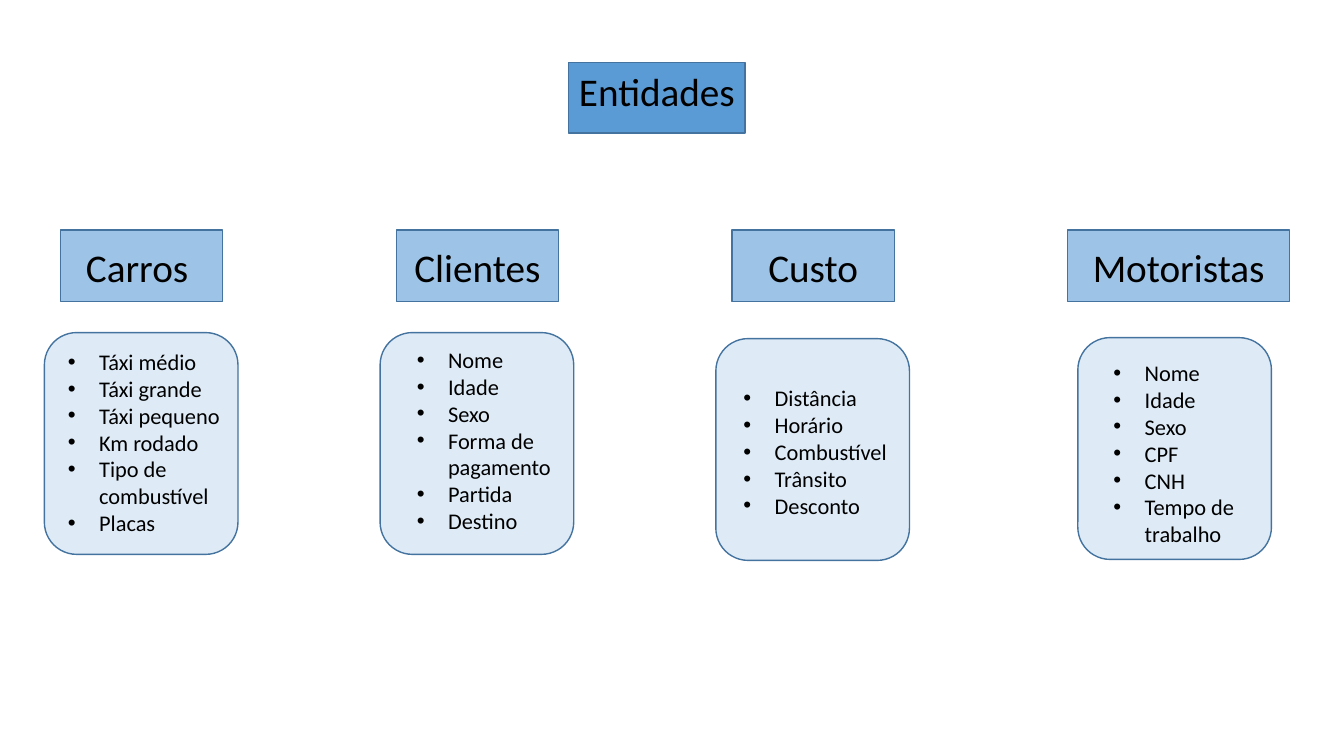
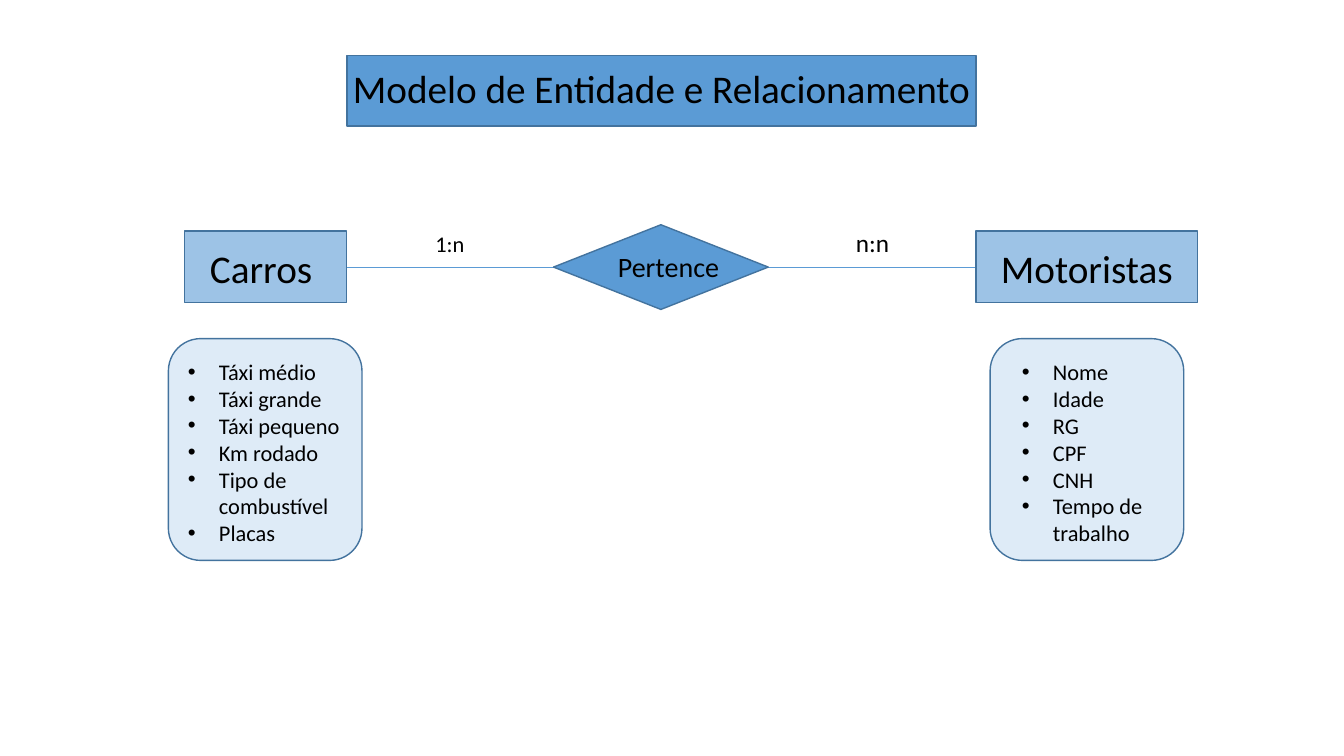
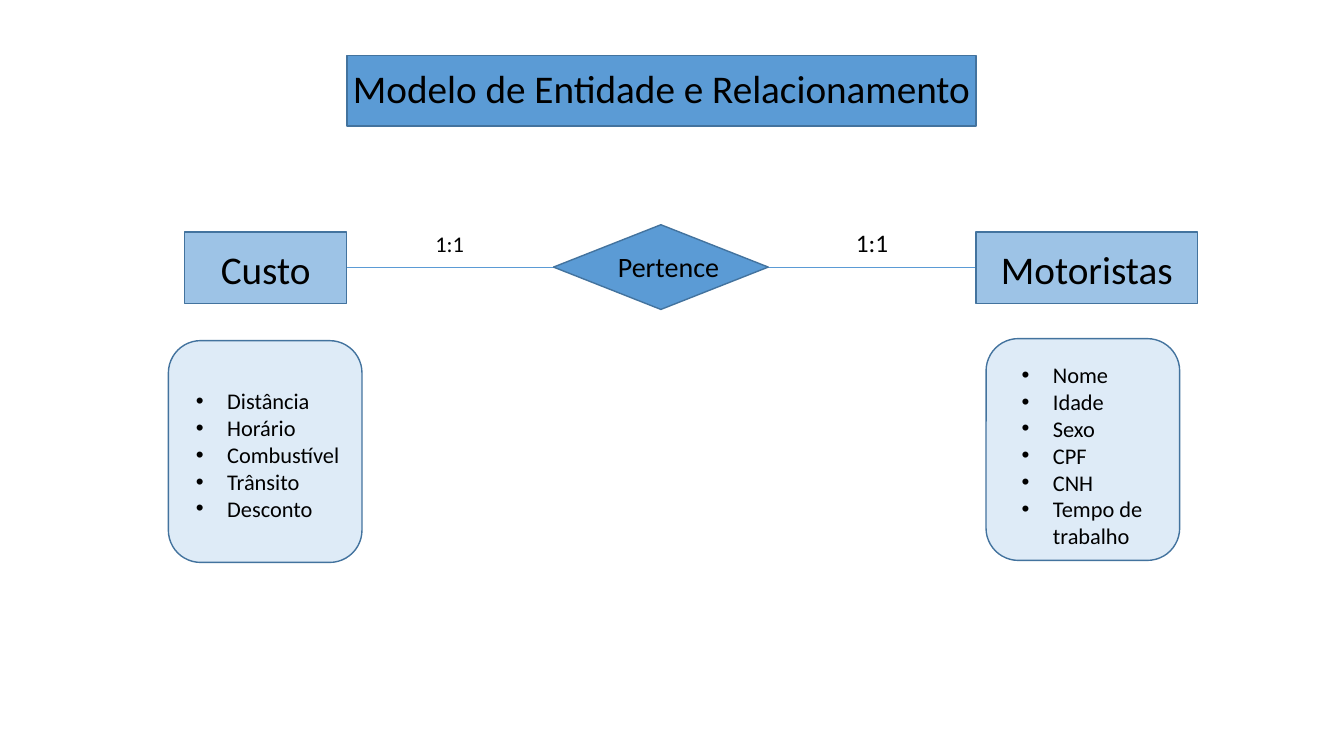
from lxml.etree import SubElement
from pptx import Presentation
from pptx.dml.color import RGBColor
from pptx.enum.shapes import MSO_CONNECTOR, MSO_SHAPE
from pptx.enum.text import MSO_ANCHOR, MSO_AUTO_SIZE, PP_ALIGN
from pptx.oxml.ns import qn
from pptx.util import Inches, Pt

BLUE = RGBColor(0x5B, 0x9B, 0xD5)
LIGHT = RGBColor(0x9D, 0xC3, 0xE6)
PALE = RGBColor(0xDE, 0xEB, 0xF7)
EDGE = RGBColor(0x43, 0x73, 0x9E)
BLACK = RGBColor(0, 0, 0)
FONT = "Calibri"

STEP = 3.33
NARROW, WIDE = 1.61, 2.2
AXIS = 2.65

CARS = ["Táxi médio", "Táxi grande", "Táxi pequeno", "Km rodado",
        "Tipo de combustível", "Placas"]
CLIENTS = ["Nome", "Idade", "Sexo", "Forma de pagamento", "Partida", "Destino"]
COST = ["Distância", "Horário", "Combustível", "Trânsito", "Desconto"]
DRIVERS = ["Nome", "Idade", "Sexo", "CPF", "CNH", "Tempo de trabalho"]
OWNERS = ["Nome", "Idade", "RG", "CPF", "CNH", "Tempo de trabalho"]


class Deck:
    def __init__(self):
        self.show = Presentation()
        self.show.slide_width = Inches(13.33)
        self.show.slide_height = Inches(7.5)
        self.slide = None

    def paint(self, shape, fill):
        shape.fill.solid()
        shape.fill.fore_color.rgb = fill
        shape.line.color.rgb = EDGE
        shape.line.width = Pt(1)

    def letter(self, shape, text, size, align=PP_ALIGN.LEFT,
               anchor=MSO_ANCHOR.TOP, inset=(0.1, 0.05, 0.1, 0.05)):
        """Set text and style; inset is left, top, right, bottom in inches."""
        frame = shape.text_frame
        frame.text = text
        frame.word_wrap = True
        frame.auto_size = MSO_AUTO_SIZE.NONE
        frame.vertical_anchor = anchor
        (frame.margin_left, frame.margin_top,
         frame.margin_right, frame.margin_bottom) = map(Inches, inset)
        for para in frame.paragraphs:
            para.alignment = align
            para.line_spacing = 1.0
            for run in para.runs:
                font = run.font
                font.name, font.size = FONT, Pt(size)
                font.color.rgb = BLACK

    def start(self, text, left, top, width, inset):
        """Add a slide whose title is a filled box."""
        layout = self.show.slide_layouts[5]
        self.slide = self.show.slides.add_slide(layout)
        title = self.slide.shapes.title
        title.left, title.top = Inches(left), Inches(top)
        title.width, title.height = Inches(width), Inches(0.7)
        self.paint(title, BLUE)
        self.letter(title, text, 28, PP_ALIGN.CENTER, inset=(0, inset, 0, 0))

    def box(self, kind, left, top, width, height, fill):
        shape = self.slide.shapes.add_shape(
            kind, Inches(left), Inches(top), Inches(width), Inches(height))
        shape.shadow.inherit = False
        self.paint(shape, fill)
        return shape

    def entity(self, name, left, top, width=NARROW):
        shape = self.box(MSO_SHAPE.RECTANGLE, left, top, width, 0.71, LIGHT)
        # The right margin offsets the shorter name from the centre
        right = 0.09 if name == "Carros" else 0
        self.letter(shape, name, 28, PP_ALIGN.CENTER, MSO_ANCHOR.MIDDLE,
                    (0, 0.02, right, 0))

    def card(self, items, left, top, inset):
        """Add a rounded card with a bullet list; inset is left, top."""
        shape = self.box(MSO_SHAPE.ROUNDED_RECTANGLE, left, top, 1.92, 2.2, PALE)
        self.letter(shape, "\n".join(items), 16, inset=(*inset, 0, 0))
        for para in shape.text_frame.paragraphs:
            props = para._p.get_or_add_pPr()
            props.set("marL", str(Inches(0.31)))
            props.set("indent", str(-Inches(0.31)))
            SubElement(props, qn("a:buFont"), typeface="Arial")
            SubElement(props, qn("a:buChar"), char="•")

    def label(self, text, left, top, width, size):
        shape = self.slide.shapes.add_textbox(
            Inches(left), Inches(top), Inches(width), Inches(0.4))
        self.letter(shape, text, size)

    def link(self, start, end):
        line = self.slide.shapes.add_connector(
            MSO_CONNECTOR.STRAIGHT, Inches(start), Inches(AXIS),
            Inches(end), Inches(AXIS))
        line.line.color.rgb = BLUE
        line.line.width = Pt(0.5)
        SubElement(line._element.spPr, qn("a:effectLst"))

    def model(self, first, second, top):
        """Add a slide with two related entities, each (name, ratio)."""
        self.start("Modelo de Entidade e Relacionamento", 3.44, 0.55, 6.24, 0.09)
        self.link(3.44, 5.49)
        self.link(7.62, 9.68)
        self.box(MSO_SHAPE.FLOWCHART_DECISION, 5.49, 2.23, 2.13, 0.84, BLUE)
        self.label("Pertence", 6.03, 2.43, 1.3, 20)
        self.entity(first[0], 1.83, top)
        self.entity(second[0], 9.68, top, WIDE)
        self.label(first[1], 4.22, 2.23, 0.6, 16)
        self.label(second[1], 8.39, 2.21, 0.6, 18)


def main():
    deck = Deck()
    deck.start("Entidades", 5.64, 0.62, 1.75, 0.05)
    groups = [
        ("Carros", NARROW, CARS, 0.44, 3.3, (0.14, 0.06)),
        ("Clientes", NARROW, CLIENTS, 3.77, 3.3, (0.27, 0.04)),
        ("Custo", NARROW, COST, 7.1, 3.36, (0.18, 0.36)),
        ("Motoristas", WIDE, DRIVERS, 10.69, 3.35, (0.26, 0.12)),
    ]
    for i, (name, width, items, left, top, inset) in enumerate(groups):
        deck.entity(name, 0.6 + STEP * i, 2.28, width)
        deck.card(items, left, top, inset)

    deck.model(("Carros", "1:n"), ("Motoristas", "n:n"), 2.29)
    deck.card(CARS, 1.67, 3.36, (0.1, 0.1))
    deck.card(OWNERS, 9.82, 3.36, (0.22, 0.1))

    deck.model(("Custo", "1:1"), ("Motoristas", "1:1"), 2.3)
    deck.card(COST, 1.67, 3.38, (0.18, 0.37))
    deck.card(DRIVERS, 9.78, 3.36, (0.26, 0.13))

    deck.show.save("out.pptx")


if __name__ == "__main__":
    main()
